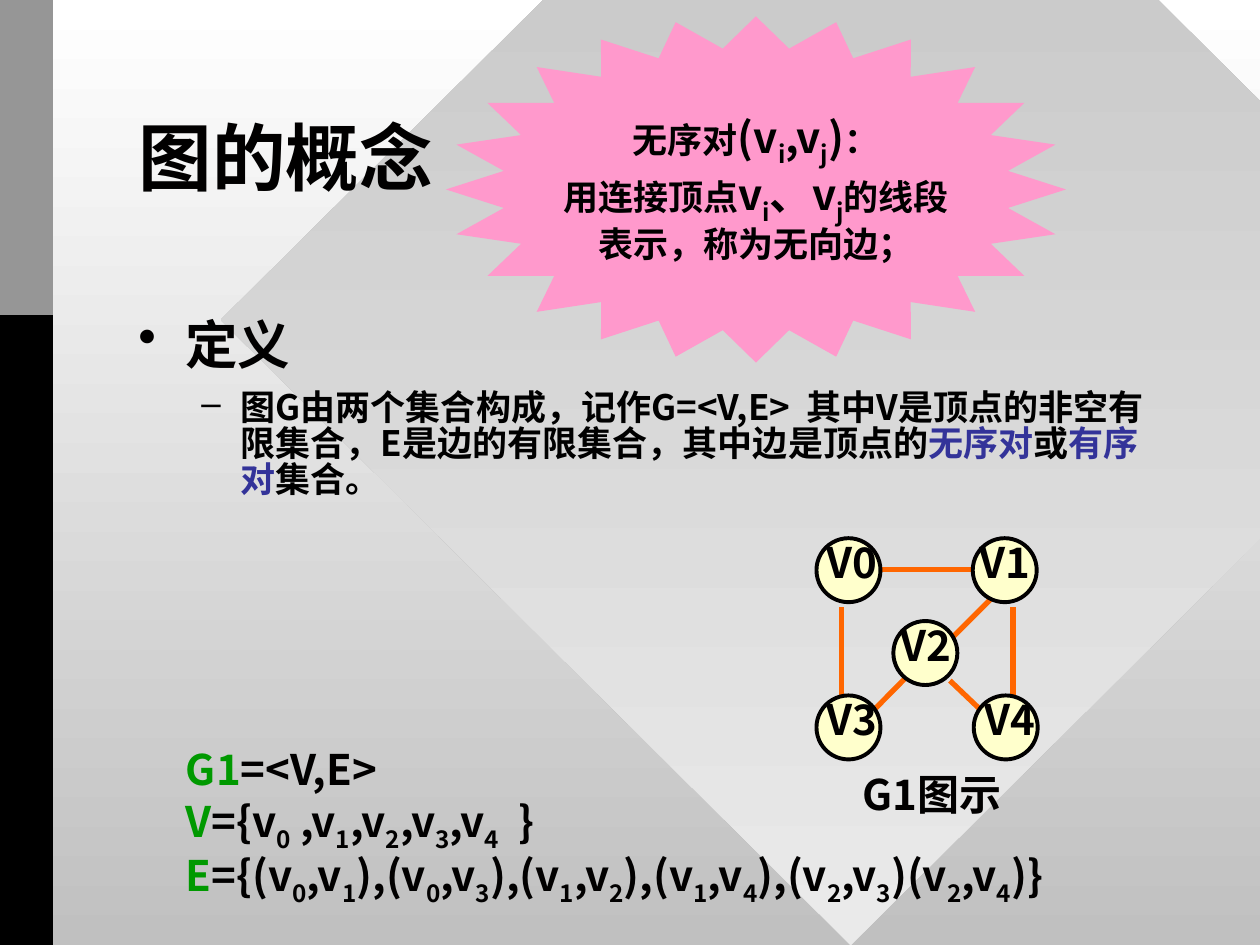
import math
from dataclasses import dataclass

import pptx
import pptx.dml.color
import pptx.enum.shapes
import pptx.enum.text
import pptx.oxml.ns
import pptx.util
from lxml import etree

Cm = pptx.util.Cm
Pt = pptx.util.Pt
qn = pptx.oxml.ns.qn
PRESET = pptx.enum.shapes.MSO_SHAPE
ALIGN = pptx.enum.text.PP_ALIGN
MIDDLE = pptx.enum.text.MSO_ANCHOR.MIDDLE


@dataclass(frozen=True)
class Theme:
    ink: str = "010000"
    black: str = "000000"
    green: str = "009900"
    blue: str = "333399"
    orange: str = "FF6600"
    pink: str = "FF99CC"
    node: str = "FFFFCC"
    gray: str = "969696"
    page: tuple = ("FFFFFF", "C0C0C0")
    diamond: tuple = ("C0C0C0", "EAEAEA")
    heading_font: str = "Roboto"
    font: str = "Noto Sans CJK SC"
    title: int = 42
    heading: int = 30
    body: int = 20
    formula: int = 24
    line_spacing: float = 0.85


THEME = Theme()

# A run is (text, size, colour); "_" makes the next character a subscript.
TITLE = [[("图的概念", THEME.title, THEME.ink)]]
DEFINITION = [
    [("定义", THEME.heading, THEME.ink)],
    [("图G由两个集合构成，记作G=<V,E>  其中V是顶点的非空有限集合，E是边的有限集合，其中边是顶点的",
      THEME.body, THEME.black),
     ("无序对", THEME.body, THEME.blue),
     ("或", THEME.body, THEME.black),
     ("有序对", THEME.body, THEME.blue),
     ("集合。", THEME.body, THEME.black)],
]
BULLETS = [("•", 0.95, -0.95), ("–", 2.06, -0.79)]  # character, margin, indent
FORMULAS = [
    [(name, THEME.formula, THEME.green), (value, THEME.formula, THEME.ink)]
    for name, value in [
        ("G1", "=<V,E>"),
        ("V", "={v_0 ,v_1,v_2,v_3,v_4  }"),
        ("E", "={(v_0,v_1),(v_0,v_3),(v_1,v_2),(v_1,v_4),(v_2,v_3)(v_2,v_4)}"),
    ]
]
BURST_TEXT = [
    [("无序对", THEME.body, THEME.ink), ("(v_i,v_j)", THEME.formula, THEME.ink),
     ("：", THEME.body, THEME.ink)],
    [("用连接顶点", THEME.body, THEME.ink), ("v_i、v_j", THEME.formula, THEME.ink),
     ("的线段", THEME.body, THEME.ink)],
    [("表示，称为无向边；", THEME.body, THEME.ink)],
]
CAPTION = [[("G1图示", THEME.formula, THEME.ink)]]

BURST = {"centre": (15.24, 3.82), "radii": (6.25, 3.49), "points": 24, "inner": 0.82}
EDGES = [
    (16.97, 12.24, 16.97, 14.07),
    (17.70, 11.48, 19.81, 11.48),
    (20.42, 12.24, 20.42, 14.07),
    (18.31, 13.61, 17.55, 14.38),
    (19.96, 12.09, 19.20, 12.85),
    (19.15, 13.72, 19.81, 14.35),
]
NODE_SIZE = 1.29
NODES = [  # name, left, top, label offset
    ("V0", 16.46, 10.85, -0.13),
    ("V4", 19.63, 14.02, -0.13),
    ("V3", 16.46, 14.02, -0.13),
    ("V1", 19.61, 10.85, -0.20),
    ("V2", 18.01, 12.52, -0.20),
]


def rgb(colour):
    return pptx.dml.color.RGBColor.from_string(colour)


def fill_solid(fill, colour):
    fill.solid()
    fill.fore_color.rgb = rgb(colour)


def fill_downward(fill, colours):
    """Gradient from the first colour at the top to the second at the bottom."""
    fill.gradient()
    fill.gradient_angle = 270
    for stop, colour in zip(fill.gradient_stops, colours):
        stop.color.rgb = rgb(colour)


def add_run(paragraph, text, size, colour, font_name, subscript=False):
    run = paragraph.add_run()
    run.text = text
    run.font.size = Pt(size)
    run.font.bold = True
    run.font.name = font_name
    run.font.color.rgb = rgb(colour)
    properties = run.font._element
    etree.SubElement(properties, qn("a:ea"), typeface=THEME.font)
    if subscript:
        properties.set("baseline", "-25000")


def write(text_frame, paragraphs, space=0, align=ALIGN.LEFT, fonts=(), wrap=True):
    text_frame.word_wrap = wrap
    for index, runs in enumerate(paragraphs):
        paragraph = text_frame.paragraphs[0] if index == 0 else text_frame.add_paragraph()
        paragraph.alignment = align
        paragraph.line_spacing = THEME.line_spacing
        paragraph.space_before = Pt(space if index else 0)
        font_name = fonts[index] if index < len(fonts) else THEME.font
        for text, size, colour in runs:
            first, *rest = text.split("_")
            add_run(paragraph, first, size, colour, font_name)
            for part in rest:
                add_run(paragraph, part[0], size, colour, font_name, subscript=True)
                if part[1:]:
                    add_run(paragraph, part[1:], size, colour, font_name)


def add_bullet(paragraph, character, margin, indent):
    properties = paragraph._p.get_or_add_pPr()
    properties.set("marL", str(Cm(margin)))
    properties.set("indent", str(Cm(indent)))
    colour = etree.SubElement(properties, qn("a:buClr"))
    etree.SubElement(colour, qn("a:srgbClr"), val=THEME.ink)
    etree.SubElement(properties, qn("a:buChar"), char=character)


def add_text(shapes, box, paragraphs, **options):
    text_box = shapes.add_textbox(*map(Cm, box))
    write(text_box.text_frame, paragraphs, **options)
    return text_box


def add_plain_shape(shapes, preset, box):
    shape = shapes.add_shape(preset, *map(Cm, box))
    shape.shadow.inherit = False
    shape.line.fill.background()
    return shape


def add_backdrop(slide):
    fill_downward(slide.background.fill, THEME.page)
    diamond = add_plain_shape(slide.shapes, PRESET.DIAMOND, (4.45, -6.15, 25.4, 25.2))
    fill_downward(diamond.fill, THEME.diamond)
    bars = []
    for height, colour in [(19.05, THEME.black), (6.35, THEME.gray)]:
        bar = add_plain_shape(slide.shapes, PRESET.RECTANGLE, (0, 0, 1.07, height))
        fill_solid(bar.fill, colour)
        bars.append(bar)
    for shape in [diamond, *bars]:
        slide.shapes.title.element.addprevious(shape.element)


def add_burst(shapes):
    (x, y), (radius_x, radius_y) = BURST["centre"], BURST["radii"]
    count = 2 * BURST["points"]
    vertices = []
    for index in range(count):
        angle = 2 * math.pi * index / count
        scale = BURST["inner"] if index % 2 else 1
        vertices.append((Cm(x + scale * radius_x * math.cos(angle)),
                         Cm(y + scale * radius_y * math.sin(angle))))
    builder = shapes.build_freeform(*vertices[0])
    builder.add_line_segments(vertices[1:], close=True)
    burst = builder.convert_to_shape()
    burst.shadow.inherit = False
    burst.line.fill.background()
    fill_solid(burst.fill, THEME.pink)
    burst.text_frame.vertical_anchor = MIDDLE
    write(burst.text_frame, BURST_TEXT, space=5, align=ALIGN.CENTER, wrap=False)


def add_graph(shapes):
    for edge in EDGES:
        line = shapes.add_connector(pptx.enum.shapes.MSO_CONNECTOR.STRAIGHT, *map(Cm, edge))
        line.line.color.rgb = rgb(THEME.orange)
        line.line.width = Pt(3)
        etree.SubElement(line.element.spPr, qn("a:effectLst"))
    for name, left, top, offset in NODES:
        circle = add_plain_shape(shapes, PRESET.OVAL, (left, top, NODE_SIZE, NODE_SIZE))
        fill_solid(circle.fill, THEME.node)
        circle.line.color.rgb = rgb(THEME.ink)
        circle.line.width = Pt(2.25)
        label = add_text(shapes, (left + offset, top, 1.8, 1.27),
                         [[(name, THEME.formula, THEME.ink)]])
        label.text_frame.margin_left = Cm(0.34)
        label.text_frame.margin_right = 0
    add_text(shapes, (14.66, 15.52, 8.26, 1.27), CAPTION, align=ALIGN.CENTER)


def main():
    presentation = pptx.Presentation()
    presentation.slide_width, presentation.slide_height = Cm(25.4), Cm(19.05)
    slide = presentation.slides.add_slide(presentation.slide_layouts[5])
    add_backdrop(slide)

    title = slide.shapes.title
    title.left, title.top, title.width, title.height = map(Cm, (2.54, 1.7, 20.32, 3.18))
    title.text_frame.vertical_anchor = MIDDLE
    title.text_frame.auto_size = pptx.enum.text.MSO_AUTO_SIZE.NONE
    write(title.text_frame, TITLE, fonts=[THEME.heading_font])

    definition = add_text(slide.shapes, (2.54, 6.35, 20.96, 10.16), DEFINITION,
                          space=10, fonts=[THEME.heading_font])
    for paragraph, bullet in zip(definition.text_frame.paragraphs, BULLETS):
        add_bullet(paragraph, *bullet)
    add_text(slide.shapes, (3.5, 15.01, 21.2, 3.81), FORMULAS, space=3)
    add_burst(slide.shapes)
    add_graph(slide.shapes.add_group_shape().shapes)
    presentation.save("out.pptx")


if __name__ == "__main__":
    main()
